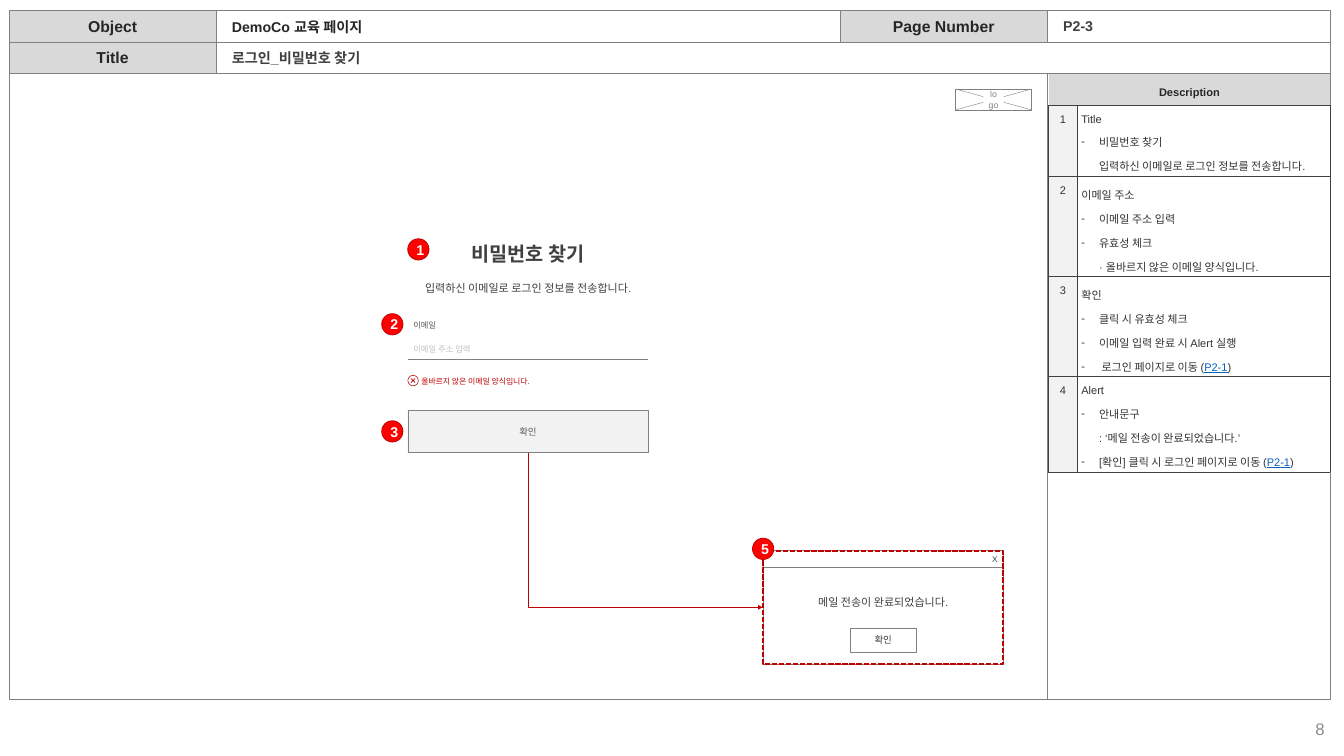
import math

from lxml import etree
from pptx import Presentation
from pptx import util as u
from pptx.dml import color
from pptx.enum import dml, shapes, text
from pptx.oxml import ns

Pt = u.Pt
RECT, OVAL = shapes.MSO_SHAPE.RECTANGLE, shapes.MSO_SHAPE.OVAL
LEFT, MID, RIGHT = text.PP_ALIGN.LEFT, text.PP_ALIGN.CENTER, text.PP_ALIGN.RIGHT
GREY, RED, DARK, PALE = "808080", "C00000", "404040", "D9D9D9"
PLAIN = "{2D5ABB26-0587-4C30-8999-92F81FD0307C}"
LINK = "P2-1"

# Each row: heading, then bulleted items; "\n" breaks a line inside an item.
NOTES = [
    ("Title", "비밀번호 찾기\n입력하신 이메일로 로그인 정보를 전송합니다."),
    ("이메일 주소", "이메일 주소 입력",
     "유효성 체크\n· 올바르지 않은 이메일 양식입니다."),
    ("확인", "클릭 시 유효성 체크", "이메일 입력 완료 시 Alert 실행",
     " 로그인 페이지로 이동 (P2-1)"),
    ("Alert", "안내문구 \n: ‘메일 전송이 완료되었습니다.’",
     "[확인] 클릭 시 로그인 페이지로 이동 (P2-1)"),
]


def rgb(code):
    return color.RGBColor.from_string(code)


def sub(parent, tag, **attrs):
    return etree.SubElement(parent, ns.qn(tag), attrs)


def paint(shape, fill, line=None, width=0.5):
    shape.shadow.inherit = False
    if fill:
        shape.fill.solid()
        shape.fill.fore_color.rgb = rgb(fill)
    else:
        shape.fill.background()
    if line:
        shape.line.color.rgb = rgb(line)
        shape.line.width = Pt(width)
    else:
        shape.line.fill.background()


def style(run, size, tint, **fmt):
    run.font.color.rgb = rgb(tint)
    for key, val in dict(name="Arial", size=Pt(size), **fmt).items():
        setattr(run.font, key, val)


def write(frame, words, size, tint, align=MID, gap=1.0, **fmt):
    frame.word_wrap = True
    frame.vertical_anchor = text.MSO_ANCHOR.MIDDLE
    para = frame.paragraphs[0]
    para.alignment, para.line_spacing = align, gap
    run = para.add_run()
    run.text = words
    style(run, size, tint, **fmt)


def box(page, area, fill=None, line=GREY, width=0.5, kind=RECT):
    shape = page.shapes.add_shape(kind, *map(Pt, area))
    paint(shape, fill, line, width)
    return shape


def label(page, area, words, size, tint, align=LEFT, gap=1.0, **fmt):
    frame = page.shapes.add_textbox(*map(Pt, area)).text_frame
    write(frame, words, size, tint, align, gap, **fmt)


def badge(page, x, y, digit):
    dot = box(page, (x, y, 27, 27), "FF0000", RED, 1, OVAL)
    write(dot.text_frame, digit, 18, "FFFFFF", bold=True)


def wire(page, ends, tint=GREY, kind=shapes.MSO_CONNECTOR.STRAIGHT):
    line = page.shapes.add_connector(kind, *map(Pt, ends))
    line.line.color.rgb = rgb(tint)
    line.line.width = Pt(0.5)
    sub(line._element.spPr, "a:effectLst")
    return line


def elbow(page, x1, y1, x2, y2):
    """Arrow that goes down, then right, as a quarter-turned bent connector."""
    cx, cy = (x1 + x2) / 2, (y1 + y2) / 2
    dx, dy = (y2 - y1) / 2, (x2 - x1) / 2
    line = wire(page, (cx + dx, cy - dy, cx - dx, cy + dy), RED,
                shapes.MSO_CONNECTOR.ELBOW)
    props = line._element.spPr
    props.find(ns.qn("a:xfrm")).set("rot", "16200000")
    props.find(ns.qn("a:prstGeom")).set("prst", "bentConnector2")
    sub(props.find(ns.qn("a:ln")), "a:tailEnd", type="triangle")


def ring(radius):
    turns = [math.tau * n / 48 for n in range(48)]
    return [(radius * math.cos(t), radius * math.sin(t)) for t in turns]


def cross(arm, half):
    """Outline of a diagonal cross around the origin."""
    dots = []
    for n in range(4):
        c, s = (f(math.pi / 4 + n * math.pi / 2) for f in (math.cos, math.sin))
        dots += [(x * c - y * s, x * s + y * c)
                 for x, y in ((arm, -half), (arm, half), (half, half))]
    return dots


def error(page, x, y):
    """Ringed cross, drawn as one filled outline."""
    pen = None
    for dots in (ring(6.9), ring(6.2), cross(3.6, 0.45)):
        dots = [(Pt(x + a), Pt(y + b)) for a, b in dots]
        if pen:
            pen.move_to(*dots[0])
        else:
            pen = page.shapes.build_freeform(*dots[0])
        pen.add_line_segments(dots[1:], close=True)
    paint(pen.convert_to_shape(), RED)


def header(page):
    xs, ys = (11.7, 274.1, 1067, 1329.4, 1688.8), (13, 53.1, 93.2, 887.8)
    cells = [(0, 1, 0, "Object"), (0, 1, 1, "Title"), (1, 2, 0, ""),
             (1, 4, 1, ""), (3, 4, 0, ""), (2, 3, 0, "Page Number"),
             (0, 3, 2, ""), (3, 4, 2, "")]
    for a, b, row, name in cells:
        area = xs[a], ys[row], xs[b] - xs[a], ys[row + 1] - ys[row]
        cell = box(page, area, PALE if name else None)
        if name:
            write(cell.text_frame, name, 20, "262626", bold=True)
    for x, y, wide, words, tint in (
            (287.3, 60.5, 765, "로그인_비밀번호 찾기", DARK),
            (287.3, 20.9, 765, "DemoCo 교육 페이지", "262626"),
            (1342.8, 20.2, 332, "P2-3", DARK)):
        label(page, (x, y, wide, 28), words, 18, tint, gap=0.9, bold=True)
    label(page, (1519, 900, 170, 51), "8", 21.3, "8C8C8C", RIGHT)


def edge(cell, sides):
    props = cell._tc.get_or_add_tcPr()
    for spot, side in enumerate(sides):
        line = etree.Element(ns.qn("a:ln" + side), w=str(Pt(0.25)))
        sub(sub(line, "a:solidFill"), "a:srgbClr", val=DARK)
        props.insert(spot, line)


def item(para, words, bullet):
    para.line_spacing = 1.5
    for n, part in enumerate(words.split("\n")):
        if n:
            para.add_line_break()
        head, link, tail = part.partition(LINK)
        for piece in filter(None, (head, link, tail)):
            run = para.add_run()
            run.text = piece
            hit = piece == LINK
            style(run, 14, "0563C1" if hit else "333333", underline=hit)
    if bullet:
        props = para._p.get_or_add_pPr()
        props.set("marL", str(Pt(22.5)))
        props.set("indent", str(Pt(-22.5)))
        sub(props, "a:buFont", typeface="Arial")
        sub(props, "a:buChar", char="-")


def notes(page):
    tall = (38.9, 90.2, 127, 127.6, 121.3)
    area = (1331.3, 94.3, 357.8, sum(tall))
    table = page.shapes.add_table(5, 2, *map(Pt, area)).table
    table._tbl.tblPr.find(ns.qn("a:tableStyleId")).text = PLAIN
    table.first_row = table.horz_banding = False
    for col, wide in zip(table.columns, (36.7, 321.1)):
        col.width = Pt(wide)
    for row, high in zip(table.rows, tall):
        row.height = Pt(high)
    for cell in table.iter_cells():
        cell.margin_left = cell.margin_right = Pt(5)
        cell.margin_top = cell.margin_bottom = Pt(2.8)
    top = table.cell(0, 0)
    top.merge(table.cell(0, 1))
    write(top.text_frame, "Description", 14, "262626", gap=1.5, bold=True)
    top.vertical_anchor = text.MSO_ANCHOR.MIDDLE
    top.fill.solid()
    top.fill.fore_color.rgb = rgb(PALE)
    edge(top, "B")
    for n, lines in enumerate(NOTES, 1):
        key, body = table.cell(n, 0), table.cell(n, 1)
        key.fill.solid()
        key.fill.fore_color.rgb = rgb("F2F2F2")
        body.fill.background()
        item(key.text_frame.paragraphs[0], str(n), False)
        key.text_frame.paragraphs[0].alignment = MID
        frame = body.text_frame
        for k, words in enumerate(lines):
            para = frame.add_paragraph() if k else frame.paragraphs[0]
            item(para, words, k > 0)
        for cell in (key, body):
            edge(cell, "LRTB")


def form(page):
    send = box(page, (517.7, 520.6, 305.3, 54), "F2F2F2")
    write(send.text_frame, "확인", 12, "5F5F5F")
    label(page, (391, 273, 559.4, 83.5), "비밀번호 찾기", 25, DARK, MID, 1.5,
          bold=True)
    label(page, (391, 329.8, 559.4, 63.4),
          "입력하신 이메일로 로그인 정보를 전송합니다.", 14, DARK, MID, 1.5)
    for x, y, words, size, tint, gap in (
            (517.7, 398.2, "이메일", 10.5, "595959", 1.4),
            (517.7, 429.1, "이메일 주소 입력", 10.6, "BFBFBF", 1.3),
            (527.8, 468, "올바르지 않은 이메일 양식입니다.", 10, RED, 1.5)):
        label(page, (x, y, 237, 25.2), words, size, tint, gap=gap)
    wire(page, (517.7, 456.5, 823, 456.5))
    error(page, 524.5, 483.2)
    for x, y, digit in ((517.7, 303.1, "1"), (484.6, 398.2, "2"),
                        (484.6, 534.2, "3")):
        badge(page, x, y, digit)


def logo(page):
    x, y, wide, high = 1213.2, 113, 96.5, 26.6
    box(page, (x, y, wide, high), "FFFFFF")
    wire(page, (x, y + high, x + wide, y))
    wire(page, (x, y, x + wide, y + high))
    plate = box(page, (1248.5, 116.6, 25.9, 19.4), "FFFFFF", None)
    frame = plate.text_frame
    frame.margin_left = frame.margin_right = Pt(5.6)
    frame.margin_top = frame.margin_bottom = Pt(2.8)
    write(frame, "logo", 11, GREY)


def alert(page):
    area = (968.4, 699.1, 305.3, 144)
    box(page, area)
    bar = box(page, area[:3] + (20.9,))
    write(bar.text_frame, "X", 10.5, DARK, RIGHT)
    label(page, (998.6, 745.9, 245.5, 31), "메일 전송이 완료되었습니다.", 14,
          DARK, MID, 1.4)
    done = box(page, (1079.3, 797, 84.2, 31))
    write(done.text_frame, "확인", 12, DARK)
    dash = box(page, area, None, RED, 2.25)
    dash.line.dash_style = dml.MSO_LINE.SQUARE_DOT
    badge(page, 955.4, 683.3, "5")


def main():
    deck = Presentation()
    deck.slide_width, deck.slide_height = Pt(1706.4), Pt(959.8)
    page = deck.slides.add_slide(deck.slide_layouts[6])
    for part in (header, notes, form, logo, alert):
        part(page)
    elbow(page, 670.3, 574.6, 968.4, 771.1)
    deck.save("out.pptx")


if __name__ == "__main__":
    main()
